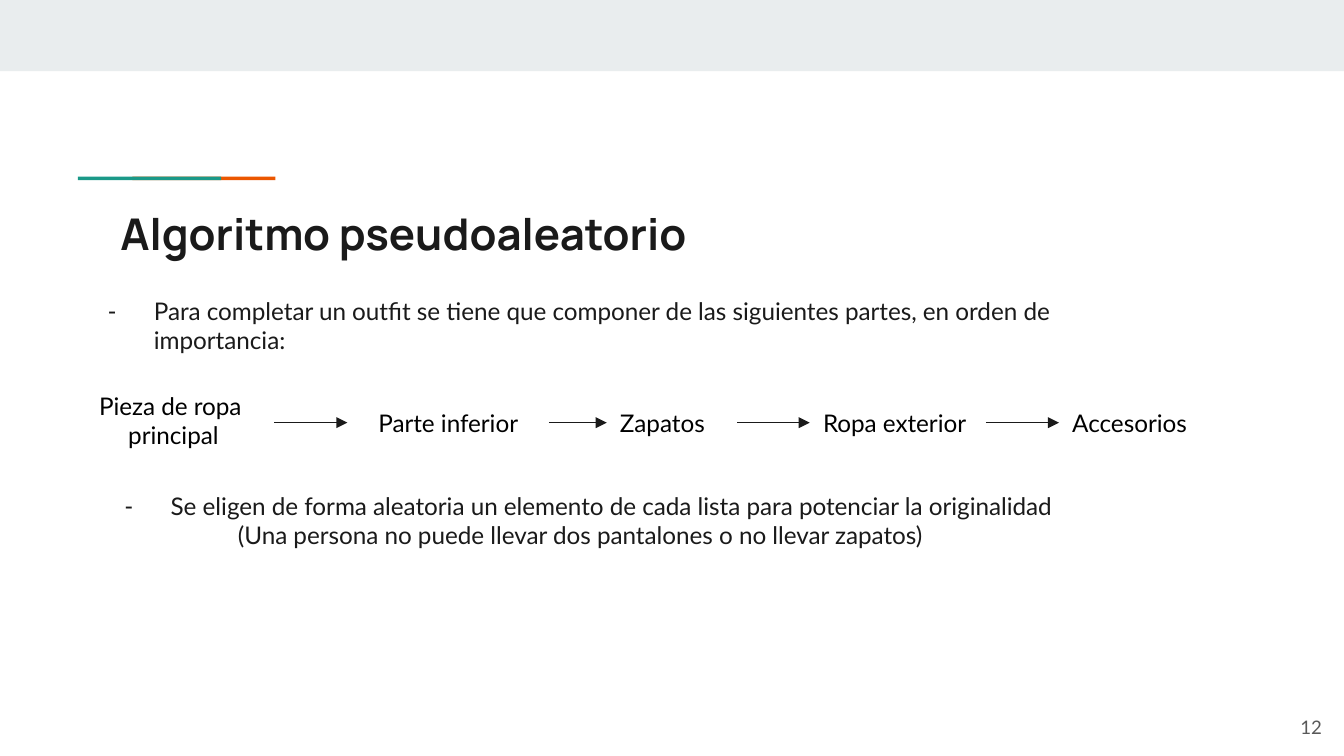
from itertools import pairwise

from lxml import etree
from pptx import Presentation
from pptx.dml.color import RGBColor
from pptx.enum.shapes import MSO_CONNECTOR, MSO_SHAPE
from pptx.enum.text import MSO_ANCHOR, MSO_AUTO_SIZE, PP_ALIGN
from pptx.oxml.ns import qn
from pptx.util import Pt

RECT, STRAIGHT = MSO_SHAPE.RECTANGLE, MSO_CONNECTOR.STRAIGHT
TOP, MIDDLE = MSO_ANCHOR.TOP, MSO_ANCHOR.MIDDLE
LEFT, CENTER, RIGHT = PP_ALIGN.LEFT, PP_ALIGN.CENTER, PP_ALIGN.RIGHT
NO_FIT = MSO_AUTO_SIZE.NONE

SCALE = 4572  # EMU per px, 200 px to the inch
W, H = 2000, 1125
PAD = 20
TWO_CONTENT = 3

INK, BLACK, GREY = "1A1A1A", "000000", "595959"
BAND, TEAL, ORANGE = "E9EDEE", "1A9988", "EB5600"
TITLE = {"name": "Manrope", "size": Pt(23.4), "bold": True}
BODY = {"name": "Lato", "size": Pt(13), "bold": False}
NUMBER = {"name": "Lato", "size": Pt(10), "bold": False}


def px(n):
    return int(n * SCALE)


def rgb(color):
    return RGBColor.from_string(color)


def set_all(obj, values):
    for name, value in values.items():
        setattr(obj, name, value)


def place(sp, box):
    set_all(sp, dict(zip(("left", "top", "width", "height"), map(px, box))))


def write(sp, lines, fmt, color, align=LEFT, anchor=TOP):
    """Fill a text shape with one paragraph per line and return the paragraphs."""
    tf = sp.text_frame
    margins = {f"margin_{side}": px(PAD) for side in ("left", "right", "top", "bottom")}
    set_all(tf, {"word_wrap": True, "auto_size": NO_FIT, "vertical_anchor": anchor, **margins})
    for i, line in enumerate(lines):
        p = tf.add_paragraph() if i else tf.paragraphs[0]
        set_all(p, {"alignment": align, "space_before": Pt(0), "line_spacing": 1.0})
        r = p.add_run()
        r.text = line
        set_all(r.font, fmt)
        r.font.color.rgb = rgb(color)
    return tf.paragraphs


def add_text(s, box, *args, **kwargs):
    write(s.shapes.add_textbox(*map(px, box)), *args, **kwargs)


def add_rect(s, box, color):
    sp = s.shapes.add_shape(RECT, *map(px, box))
    sp.shadow.inherit = False
    sp.fill.solid()
    sp.fill.fore_color.rgb = rgb(color)
    sp.line.fill.background()


def add_arrow(s, x1, x2, y):
    line = s.shapes.add_connector(STRAIGHT, px(x1), px(y), px(x2), px(y))
    line.line.color.rgb = rgb(INK)
    line.line.width = Pt(0.75)
    etree.SubElement(line.line._get_or_add_ln(), qn("a:tailEnd"), type="triangle")
    etree.SubElement(line._element.spPr, qn("a:effectLst"))


def set_indent(p, left, first, bullet=None):
    pPr = p._p.get_or_add_pPr()
    pPr.set("marL", str(px(left)))
    pPr.set("indent", str(px(first)))
    if bullet:
        etree.SubElement(pPr, qn("a:buChar"), char=bullet)
    else:
        etree.SubElement(pPr, qn("a:buNone"))


def add_accent(s, box):
    """Two overlapping strips, teal in front of orange."""
    x, y, w, h = box
    strip = 213
    add_rect(s, (x + w - strip, y, strip, h), ORANGE)
    add_rect(s, (x, y, strip, h), TEAL)


def fill_title(sp, box, text):
    place(sp, box)
    write(sp, [text], TITLE, INK)


def fill_list(sp, box, item, note=None):
    """A dashed item with an optional indented note below it."""
    place(sp, box)
    paragraphs = write(sp, [item, note] if note else [item], BODY, INK)
    set_indent(paragraphs[0], 100, -68, "-")
    for p in paragraphs[1:]:
        set_indent(p, 200, 0)


def add_flow(s, box, steps):
    """Steps centred on one row, with an arrow in each gap."""
    x, y, _, h = box
    middle = y + h / 2
    for left, width, lines, align in steps:
        height = 82 if len(lines) == 1 else h
        add_text(s, (x + left, middle - height / 2, width, height), lines, BODY, BLACK, align)
    for (left, width, *_), (following, *_) in pairwise(steps):
        add_arrow(s, x + left + width, x + following, middle)


def build_slide(prs):
    s = prs.slides.add_slide(prs.slide_layouts[TWO_CONTENT])
    title, parts, choice = list(s.placeholders)[:3]
    add_rect(s, (0, 0, W, 106), BAND)
    add_accent(s, (116, 263, 294, 5))
    fill_title(title, (159, 288, 1682, 118), "Algoritmo pseudoaleatorio")
    fill_list(parts, (109, 421, 1644, 128),
              "Para completar un outfit se tiene que componer de las siguientes partes, "
              "en orden de importancia:")
    add_flow(s, (108, 562, 1702, 134), [
        (0, 300, ["Pieza de ropa ", "principal"], CENTER),
        (409, 300, ["Parte inferior"], CENTER),
        (795, 194, ["Zapatos"], LEFT),
        (1097, 262, ["Ropa exterior"], LEFT),
        (1468, 234, ["Accesorios"], LEFT),
    ])
    fill_list(choice, (134, 711, 1650, 134),
              "Se eligen de forma aleatoria un elemento de cada lista para potenciar la originalidad",
              "(Una persona no puede llevar dos pantalones o no llevar zapatos)")
    add_text(s, (1867, 1039, 120, 86), ["12"], NUMBER, GREY, RIGHT, MIDDLE)


def main():
    prs = Presentation()
    prs.slide_width, prs.slide_height = px(W), px(H)
    build_slide(prs)
    prs.save("out.pptx")


if __name__ == "__main__":
    main()
